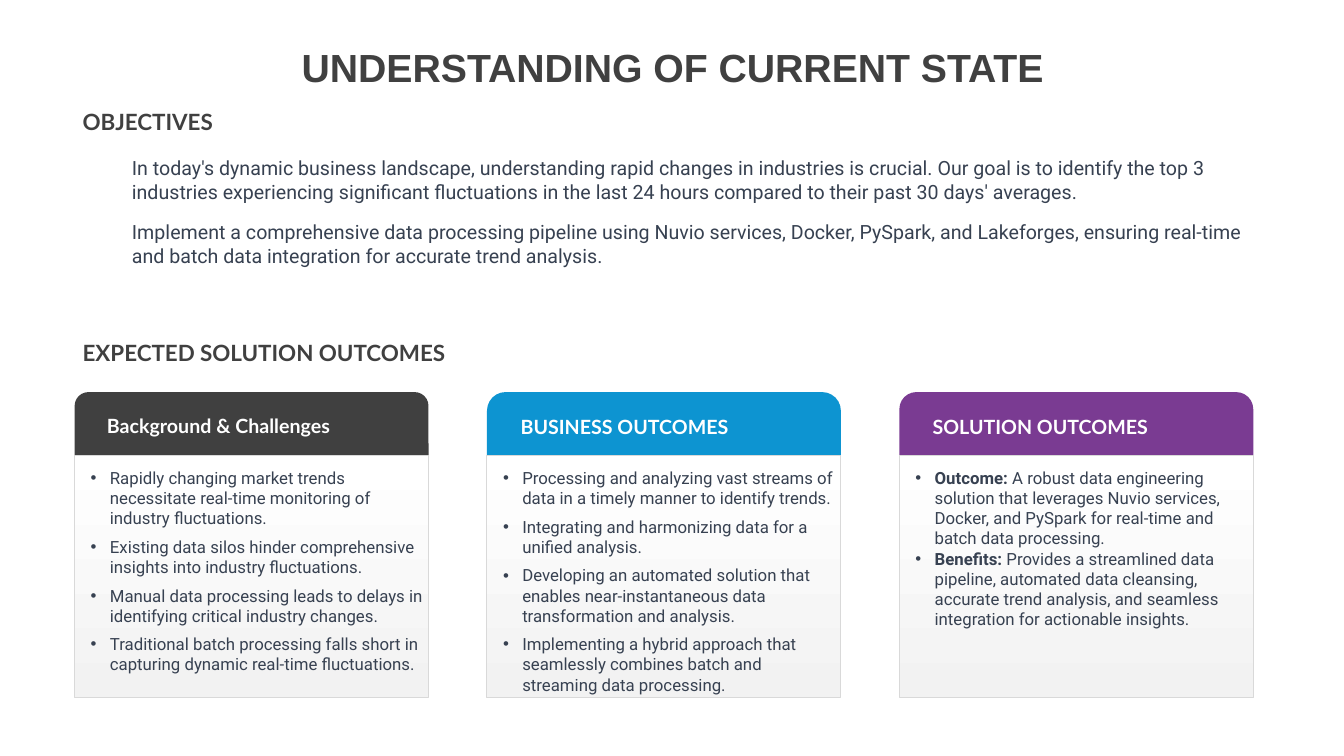
from lxml.etree import SubElement
from pptx import Presentation
from pptx.dml.color import RGBColor
from pptx.enum.shapes import MSO_SHAPE as Shape
from pptx.enum.text import MSO_ANCHOR as Anchor, MSO_AUTO_SIZE as AutoSize, PP_ALIGN as Align
from pptx.oxml.ns import qn
from pptx.util import Emu, Pt

PX = 9144
COLORS = {
    "dark": "404040",
    "text": "374151",
    "blue": "0D94D1",
    "purple": "7A3B92",
    "white": "FFFFFF",
    "pale": "F2F2F2",
    "border": "D9D9D9",
}

OBJECTIVES = [
    "In today's dynamic business landscape, understanding rapid changes in industries is crucial. "
    "Our goal is to identify the top 3 industries experiencing significant fluctuations in the last "
    "24 hours compared to their past 30 days' averages.",
    "Implement a comprehensive data processing pipeline using Nuvio services, Docker, PySpark, and "
    "Lakeforges, ensuring real-time and batch data integration for accurate trend analysis.",
]

CARDS = [
    ("Background & Challenges", "dark", 0.217, 6, [
        ("", "Rapidly changing market trends necessitate real-time monitoring of industry fluctuations."),
        ("", "Existing data silos hinder comprehensive insights into industry fluctuations."),
        ("", "Manual data processing leads to delays in identifying critical industry changes."),
        ("", "Traditional batch processing falls short in capturing dynamic real-time fluctuations."),
    ]),
    ("BUSINESS OUTCOMES", "blue", 0.293, 6, [
        ("", "Processing and analyzing vast streams of data in a timely manner to identify trends."),
        ("", "Integrating and harmonizing data for a unified analysis."),
        ("", "Developing an automated solution that enables near-instantaneous data transformation "
             "and analysis."),
        ("", "Implementing a hybrid approach that seamlessly combines batch and streaming data "
             "processing."),
    ]),
    ("SOLUTION OUTCOMES", "purple", 0.268, 0, [
        ("Outcome:", " A robust data engineering solution that leverages Nuvio services, Docker, and "
                     "PySpark for real-time and batch data processing."),
        ("Benefits:", " Provides a streamlined data pipeline, automated data cleansing, accurate trend "
                      "analysis, and seamless integration for actionable insights."),
    ]),
]


def px(value):
    return Emu(value * PX)


def rgb(name):
    return RGBColor.from_string(COLORS[name])


class SlideBuilder:
    heading_font = "Lato"
    body_font = "Roboto"

    def __init__(self, page):
        self.page = page

    def span(self, para, text, size, font, color, bold=False):
        run = para.add_run()
        run.text = text
        run.font.size = Pt(size)
        run.font.name = font
        run.font.bold = bold
        run.font.color.rgb = rgb(color)

    def frame(self, box, insets, anchor):
        frame = box.text_frame
        frame.word_wrap = True
        frame.vertical_anchor = anchor
        frame.margin_left, frame.margin_top, frame.margin_right, frame.margin_bottom = map(px, insets)
        return frame

    def paragraphs(self, frame, count):
        return [frame.paragraphs[0]] + [frame.add_paragraph() for _ in range(count - 1)]

    def title(self, text, *area):
        box = self.page.shapes.title
        box.left, box.top, box.width, box.height = map(px, area)
        frame = self.frame(box, (10, 5, 10, 5), Anchor.MIDDLE)
        frame.auto_size = AutoSize.NONE
        para = frame.paragraphs[0]
        para.alignment = Align.CENTER
        para.line_spacing = 0.9
        self.span(para, text, 28, "Arial", "dark", True)

    def heading(self, text, *area):
        box = self.page.shapes.add_textbox(*map(px, area))
        frame = self.frame(box, (8, 8, 8, 8), Anchor.MIDDLE)
        self.span(frame.paragraphs[0], text, 16, self.heading_font, "dark", True)

    def prose(self, texts, *area):
        box = self.page.shapes.add_textbox(*map(px, area))
        frame = self.frame(box, (10, 5, 10, 5), Anchor.TOP)
        frame.auto_size = AutoSize.SHAPE_TO_FIT_TEXT
        for para, text in zip(self.paragraphs(frame, len(texts)), texts):
            para.space_after = Pt(12)
            self.span(para, text, 14, self.body_font, "text")

    def shape(self, kind, *area):
        box = self.page.shapes.add_shape(kind, *map(px, area))
        box.shadow.inherit = False
        return box

    def card_header(self, text, color, rounding, *area):
        box = self.shape(Shape.ROUND_2_SAME_RECTANGLE, *area)
        box.adjustments[0] = rounding
        box.adjustments[1] = 0
        box.fill.solid()
        box.fill.fore_color.rgb = rgb(color)
        box.line.fill.background()
        para = self.frame(box, (28, 4, 4, 4), Anchor.MIDDLE).paragraphs[0]
        para.alignment = Align.LEFT
        self.span(para, text, 14, self.heading_font, "white", True)

    def card_body(self, items, gap, *area):
        box = self.shape(Shape.RECTANGLE, *area)
        box.fill.gradient()
        box.fill.gradient_angle = 270
        for stop, color in zip(box.fill.gradient_stops, ("white", "pale")):
            stop.color.rgb = rgb(color)
        box.line.color.rgb = rgb("border")
        box.line.width = Pt(0.75)
        frame = self.frame(box, (16, 12, 4, 4), Anchor.TOP)
        for para, (label, text) in zip(self.paragraphs(frame, len(items)), items):
            self.bullet(para)
            para.alignment = Align.LEFT
            para.space_after = Pt(gap)
            if label:
                self.span(para, label, 12, self.body_font, "text", True)
            self.span(para, text, 12, self.body_font, "text")

    def bullet(self, para):
        properties = para._p.get_or_add_pPr()
        properties.set("marL", str(px(19)))
        properties.set("indent", str(-px(19)))
        SubElement(properties, qn("a:buFont"), typeface="Arial")
        SubElement(properties, qn("a:buChar"), char="•")


def main():
    deck = Presentation()
    deck.slide_width, deck.slide_height = px(1333), px(750)
    builder = SlideBuilder(deck.slides.add_slide(deck.slide_layouts[5]))

    builder.title("UNDERSTANDING OF CURRENT STATE", 92, 41, 1150, 56)
    builder.heading("OBJECTIVES", 74, 105, 217, 31)
    builder.heading("EXPECTED SOLUTION OUTCOMES", 74, 334, 433, 31)
    builder.prose(OBJECTIVES, 121, 150, 1121, 121)

    left, top, pitch, width, header_height, body_height = 74, 389, 409, 351, 63, 240
    for index, (name, color, rounding, gap, items) in enumerate(CARDS):
        card_left = left + index * pitch
        builder.card_header(name, color, rounding, card_left, top, width, header_height)
        builder.card_body(items, gap, card_left, top + header_height, width, body_height)

    deck.save("out.pptx")


if __name__ == "__main__":
    main()
